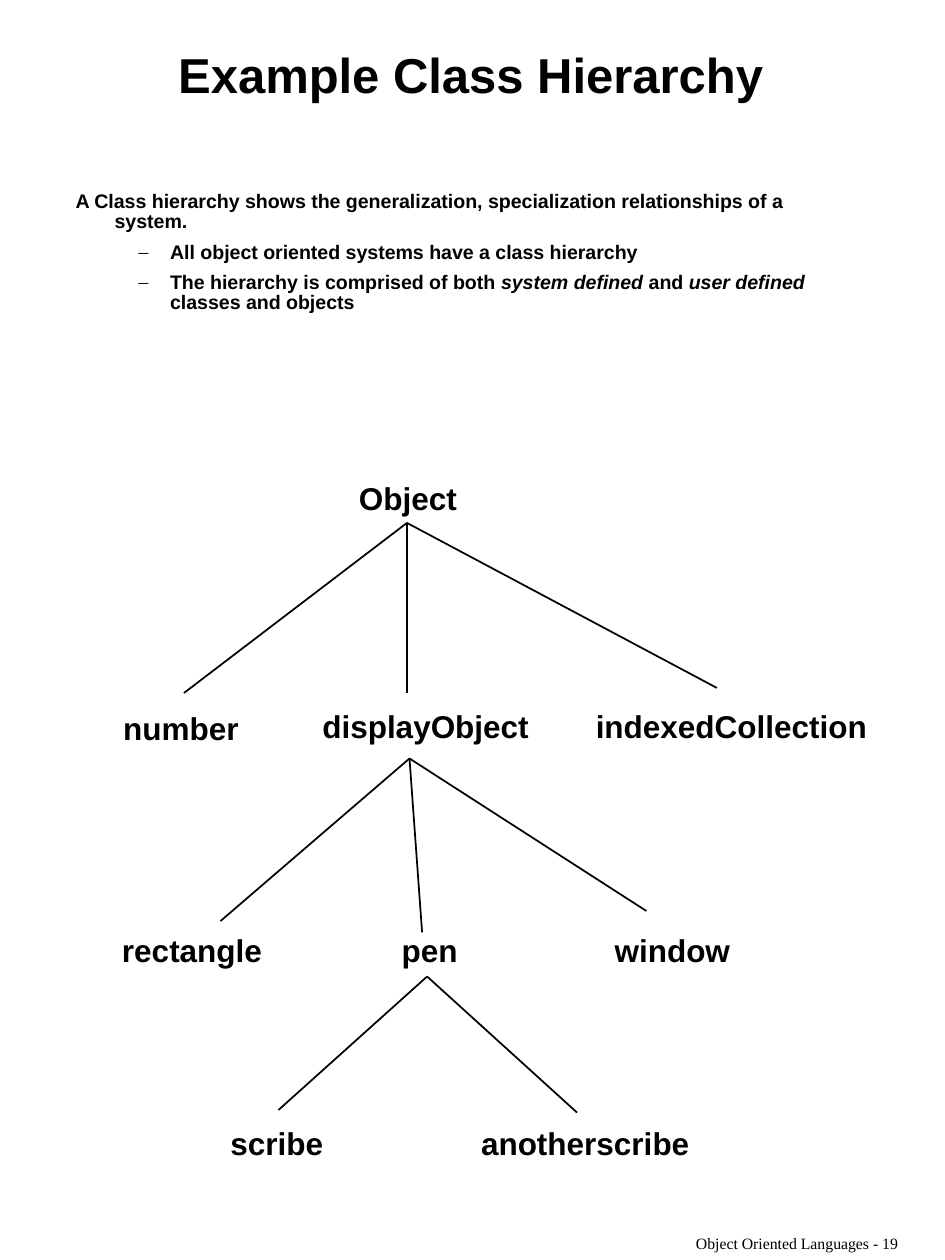
from lxml import etree
from pptx import Presentation
from pptx.dml.color import RGBColor
from pptx.enum.shapes import MSO_CONNECTOR
from pptx.enum.text import MSO_ANCHOR, MSO_AUTO_SIZE, PP_ALIGN
from pptx.oxml.ns import qn
from pptx.util import Inches, Pt

BLACK = RGBColor(0, 0, 0)

TITLE = "Example Class Hierarchy"
FOOTER = "Object Oriented Languages - 19"

# Each paragraph: level, then runs of (text, italic)
BODY = [
    (0, [("A Class hierarchy shows the generalization, specialization "
          "relationships of a system.", False)]),
    (1, [("All object oriented systems have a class hierarchy", False)]),
    (1, [("The hierarchy is comprised of both ", False),
         ("system defined", True),
         (" and ", False),
         ("user defined", True),
         (" classes and objects", False)]),
]
INDENTS = [(0.31, -0.31), (0.75, -0.25)]  # left margin, first line, by level

# Class name: left, top, width of its label
CLASSES = {
    "Object": (2.75, 3.75, 1.02),
    "number": (0.88, 5.58, 1.16),
    "displayObject": (2.46, 5.56, 1.88),
    "indexedCollection": (4.63, 5.56, 2.39),
    "rectangle": (0.87, 7.34, 1.36),
    "pen": (3.09, 7.34, 0.7),
    "window": (4.78, 7.34, 1.16),
    "scribe": (1.73, 8.87, 1),
    "anotherscribe": (3.72, 8.87, 1.9),
}
LABEL_HEIGHT = 0.4

# Each parent: the point its branches start from, then their ends
BRANCHES = [
    ((3.23, 4.15), [(1.46, 5.5), (3.23, 5.5), (5.69, 5.46)]),
    ((3.25, 6.02), [(1.75, 7.31), (3.35, 7.4), (5.13, 7.23)]),
    ((3.39, 7.75), [(2.21, 8.81), (4.58, 8.83)]),
]


def place(shape, left, top, width, height):
    shape.left, shape.top = Inches(left), Inches(top)
    shape.width, shape.height = Inches(width), Inches(height)


def add_run(paragraph, text, size, font="Arial", bold=True, italic=False):
    run = paragraph.add_run()
    run.text = text
    run.font.name = font
    run.font.size = Pt(size)
    run.font.bold = bold
    run.font.italic = italic
    run.font.color.rgb = BLACK


def set_indent_and_bullet(paragraph, level):
    margin, first_line = INDENTS[level]
    properties = paragraph._p.get_or_add_pPr()
    properties.set("marL", str(Inches(margin)))
    properties.set("indent", str(Inches(first_line)))
    if level == 0:
        etree.SubElement(properties, qn("a:buNone"))
    else:
        etree.SubElement(properties, qn("a:buFont"), typeface="Times New Roman")
        etree.SubElement(properties, qn("a:buChar"), char="–")


def add_title(slide):
    title = slide.shapes.title
    place(title, 0.81, 0.31, 5.85, 0.61)
    frame = title.text_frame
    frame.auto_size = MSO_AUTO_SIZE.NONE
    frame.vertical_anchor = MSO_ANCHOR.MIDDLE
    paragraph = frame.paragraphs[0]
    paragraph.alignment = PP_ALIGN.CENTER
    paragraph.line_spacing = 0.9
    add_run(paragraph, TITLE, 28)


def add_body(slide):
    body = slide.placeholders[1]
    place(body, 0.5, 1.48, 6.31, 1.04)
    frame = body.text_frame
    frame.auto_size = MSO_AUTO_SIZE.NONE
    for index, (level, runs) in enumerate(BODY):
        paragraph = frame.add_paragraph() if index else frame.paragraphs[0]
        set_indent_and_bullet(paragraph, level)
        paragraph.level = level
        paragraph.line_spacing = 0.85
        paragraph.space_before = Pt(6 if index else 0)
        for text, italic in runs:
            add_run(paragraph, text, 11.2, italic=italic)


def add_label(slide, name, left, top, width):
    label = slide.shapes.add_textbox(
        Inches(left), Inches(top), Inches(width), Inches(LABEL_HEIGHT))
    label.text_frame.word_wrap = False
    add_run(label.text_frame.paragraphs[0], name, 18)


def add_branch(slide, start, end):
    branch = slide.shapes.add_connector(
        MSO_CONNECTOR.STRAIGHT, *map(Inches, start + end))
    branch.line.color.rgb = BLACK
    branch.line.width = Pt(1)
    etree.SubElement(branch._element.spPr, qn("a:effectLst"))


def add_footer(slide):
    footer = slide.shapes.add_textbox(
        Inches(5.34), Inches(9.76), Inches(1.97), Inches(0.23))
    footer.text_frame.word_wrap = True
    paragraph = footer.text_frame.paragraphs[0]
    paragraph.alignment = PP_ALIGN.CENTER
    paragraph.line_spacing = 0.9
    add_run(paragraph, FOOTER, 9, font="Times New Roman", bold=False)


def main():
    presentation = Presentation()
    presentation.slide_width = Inches(7.5)
    presentation.slide_height = Inches(10)
    slide = presentation.slides.add_slide(presentation.slide_layouts[1])
    add_footer(slide)
    add_title(slide)
    add_body(slide)
    for name, position in CLASSES.items():
        add_label(slide, name, *position)
    for start, ends in BRANCHES:
        for end in ends:
            add_branch(slide, start, end)
    presentation.save("out.pptx")


if __name__ == "__main__":
    main()
